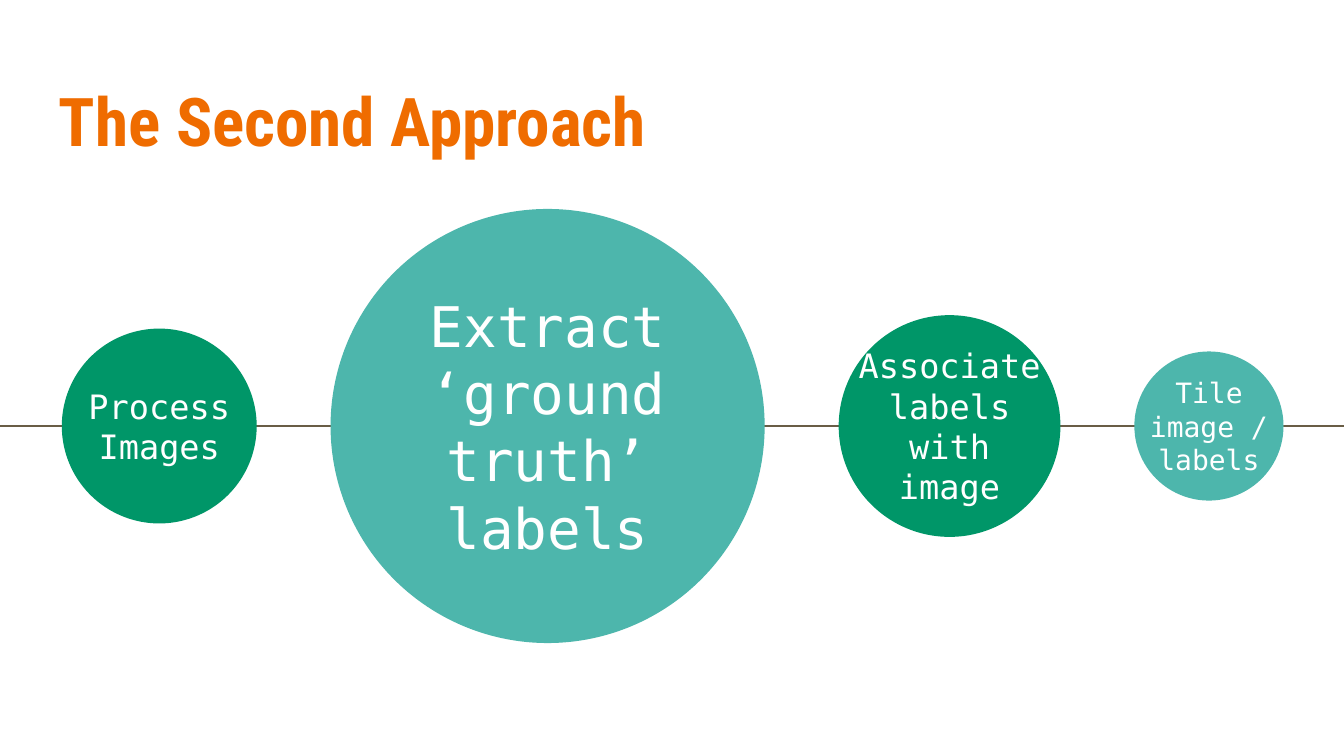
from dataclasses import dataclass

from lxml.etree import SubElement
from pptx import Presentation
from pptx.dml.color import RGBColor
from pptx.enum.shapes import MSO_CONNECTOR, MSO_SHAPE
from pptx.enum.text import MSO_ANCHOR, PP_ALIGN
from pptx.oxml.ns import qn
from pptx.slide import Slide
from pptx.util import Inches, Pt

COLOURS = {
    "title": "EF6C00",
    "green": "009668",
    "teal": "4DB6AC",
    "line": "695D46",
    "label": "FFFFFF",
}
SLIDE_WIDTH = 10
SLIDE_HEIGHT = SLIDE_WIDTH * 9 / 16
AXIS = 3.17
FIRST_LEFT = 0.46
GAP = 0.55
LABEL_HEIGHT = 0.66
INSET = 0.1


@dataclass
class Step:
    label: str
    diameter: float
    size: int
    colour: str


STEPS = [
    Step("Process Images", 1.45, 18, "green"),
    Step("Extract ‘ground truth’ labels", 3.23, 30, "teal"),
    Step("Associate labels with image", 1.65, 18, "green"),
    Step("Tile image / labels", 1.11, 15, "teal"),
]


def colour(name: str) -> RGBColor:
    return RGBColor.from_string(COLOURS[name])


def add_text(page: Slide, text: str, left: float, top: float, width: float,
             height: float, size: int, font: str, tint: str,
             bold: bool = False, centred: bool = False) -> None:
    box = page.shapes.add_textbox(
        Inches(left), Inches(top), Inches(width), Inches(height))
    frame = box.text_frame
    frame.word_wrap = True
    frame.margin_left = frame.margin_right = Inches(INSET)
    frame.margin_top = frame.margin_bottom = Inches(INSET)
    frame.vertical_anchor = MSO_ANCHOR.MIDDLE if centred else MSO_ANCHOR.TOP
    frame.text = text
    para = frame.paragraphs[0]
    para.alignment = PP_ALIGN.CENTER if centred else PP_ALIGN.LEFT
    span = para.runs[0]
    span.font.size = Pt(size)
    span.font.name = font
    span.font.bold = bold
    span.font.color.rgb = colour(tint)


def add_timeline(page: Slide) -> None:
    line = page.shapes.add_connector(
        MSO_CONNECTOR.STRAIGHT,
        Inches(-0.01), Inches(AXIS), Inches(SLIDE_WIDTH), Inches(AXIS))
    line.line.color.rgb = colour("line")
    line.line.width = Pt(1.5)
    SubElement(line._element.spPr, qn("a:effectLst"))


def add_step(page: Slide, step: Step, left: float) -> None:
    circle = page.shapes.add_shape(
        MSO_SHAPE.OVAL, Inches(left), Inches(AXIS - step.diameter / 2),
        Inches(step.diameter), Inches(step.diameter))
    circle.shadow.inherit = False
    circle.fill.solid()
    circle.fill.fore_color.rgb = colour(step.colour)
    circle.line.fill.background()
    add_text(page, step.label, left, AXIS - LABEL_HEIGHT / 2, step.diameter,
             LABEL_HEIGHT, step.size, "DejaVu Sans Mono", "label", centred=True)


def main() -> None:
    deck = Presentation()
    deck.slide_width = Inches(SLIDE_WIDTH)
    deck.slide_height = Inches(SLIDE_HEIGHT)
    page = deck.slides.add_slide(deck.slide_layouts[6])
    add_timeline(page)
    add_text(page, "The Second Approach", 0.34, 0.49, 9.32, 0.77, 36,
             "Roboto Condensed", "title", bold=True)
    left = FIRST_LEFT
    for step in STEPS:
        add_step(page, step, left)
        left += step.diameter + GAP
    deck.save("out.pptx")


if __name__ == "__main__":
    main()
